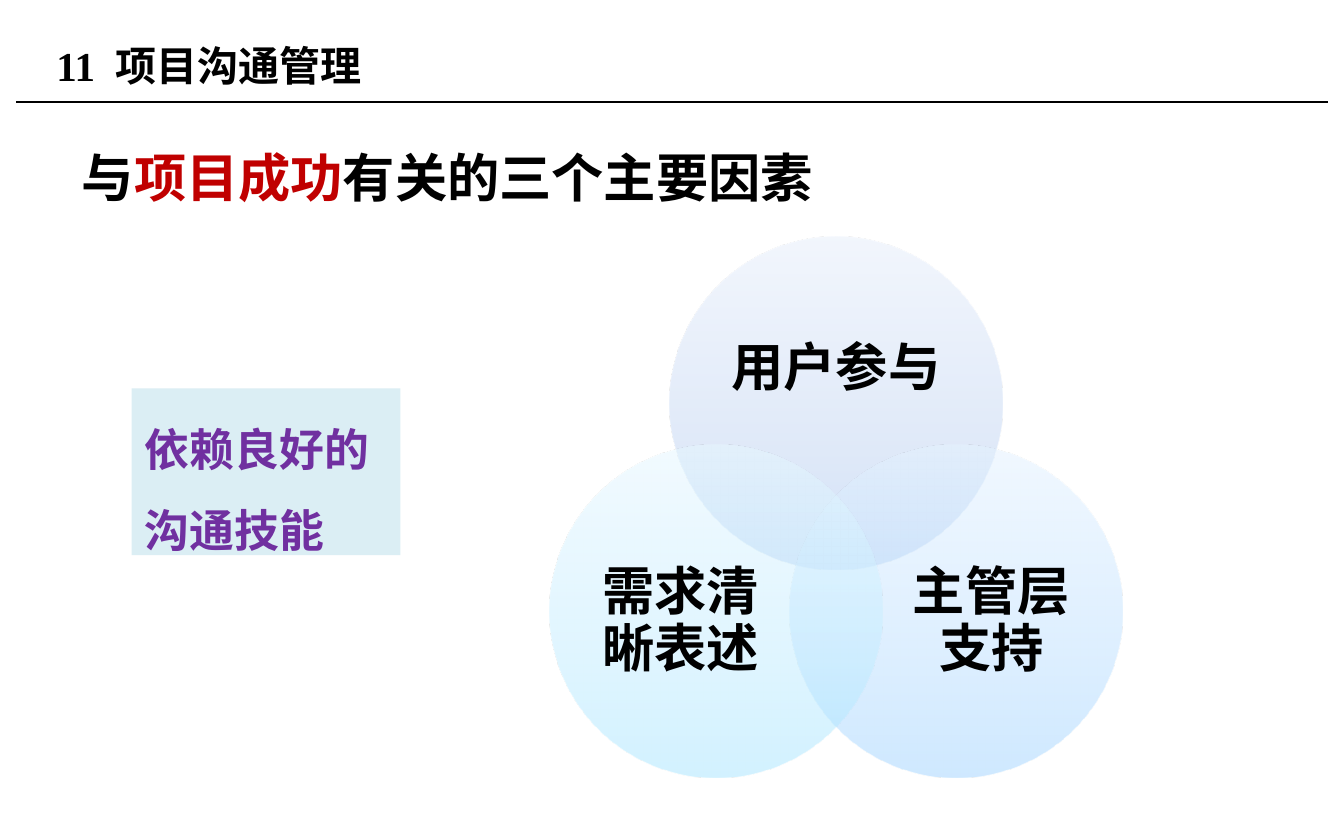
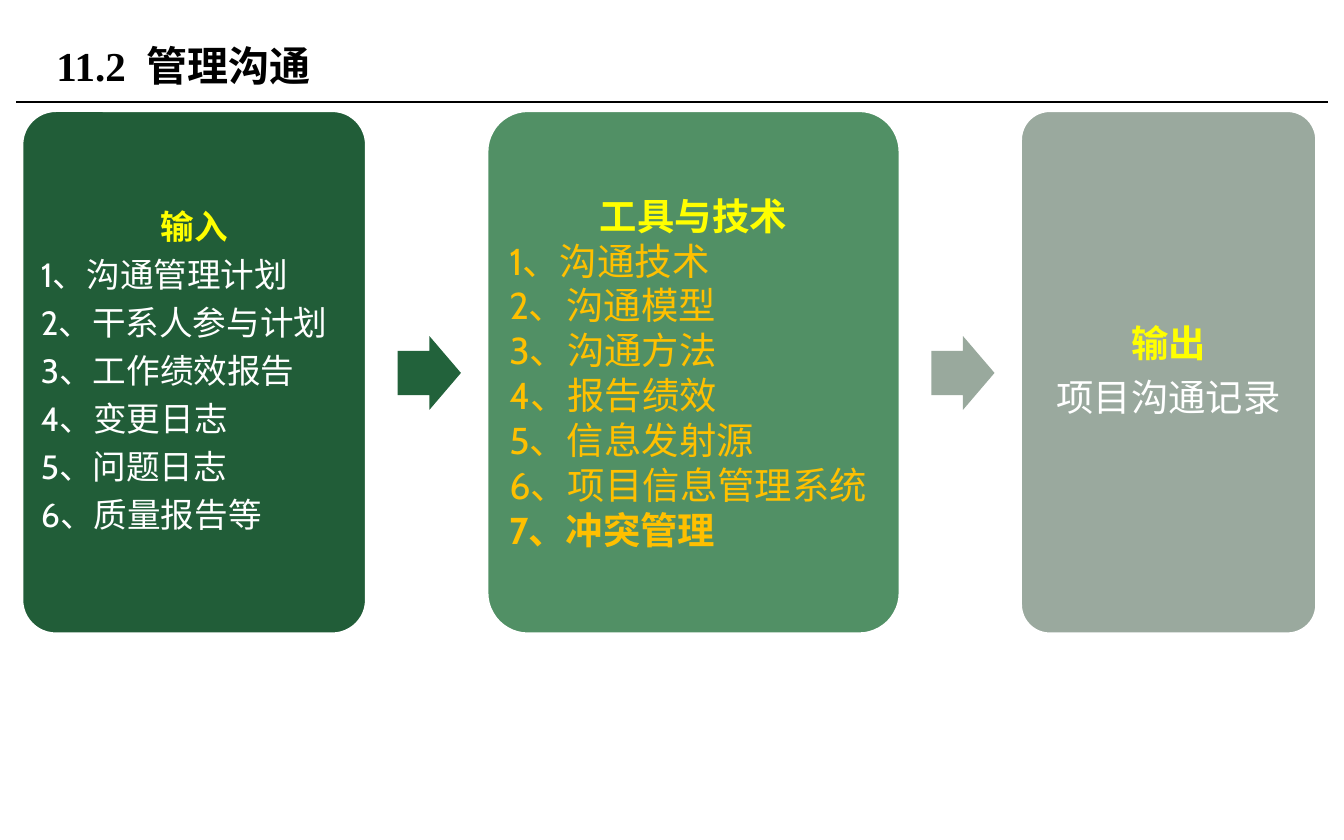
import math

import lxml.etree
import pptx
import pptx.dml.color
import pptx.enum.shapes
import pptx.enum.text
import pptx.oxml.ns
import pptx.util

RGB = pptx.dml.color.RGBColor
SHAPE = pptx.enum.shapes.MSO_SHAPE
ALIGN = pptx.enum.text.PP_ALIGN
ANCHOR = pptx.enum.text.MSO_ANCHOR
Inches = pptx.util.Inches
Pt = pptx.util.Pt
qn = pptx.oxml.ns.qn

# Colours
BLACK = RGB(0x00, 0x00, 0x00)
WHITE = RGB(0xFF, 0xFF, 0xFF)
RED = RGB(0xC0, 0x00, 0x00)
PURPLE = RGB(0x70, 0x30, 0xA0)
PALE = RGB(0xDB, 0xEE, 0xF4)
YELLOW = RGB(0xFF, 0xFF, 0x00)
AMBER = RGB(0xFF, 0xC0, 0x00)
DARK = RGB(0x21, 0x5D, 0x38)
DARK_TIP = RGB(0x22, 0x62, 0x3B)
GREEN = RGB(0x51, 0x90, 0x65)
GREY = RGB(0x9A, 0xA9, 0x9E)
GREY_TIP = RGB(0x99, 0xA9, 0x9D)
VIOLET = (RGB(0xA6, 0xC4, 0xF1), RGB(0xC1, 0xD5, 0xF4), RGB(0xE7, 0xEF, 0xFC))
BLUE = (RGB(0xA0, 0xD4, 0xFF), RGB(0xBC, 0xE0, 0xFF), RGB(0xE5, 0xF3, 0xFF))
CYAN = (RGB(0xA7, 0xE6, 0xFF), RGB(0xC1, 0xED, 0xFF), RGB(0xE7, 0xF8, 0xFF))

SERIF = "Times New Roman"
SANS = "Cabin"


def place(shape, box):
    shape.left, shape.top, shape.width, shape.height = map(Inches, box)


def style(para, size, face=SERIF, color=BLACK, bold=True, align=ALIGN.LEFT):
    font = para.font
    font.name, font.size, font.bold = face, Pt(size), bold
    if color is not None:
        font.color.rgb = color
    para.alignment = align


def tight(para, size):
    """Close line spacing with a gap of 35% of the text size."""
    para.line_spacing = 0.9
    para.space_after = Pt(size * 0.35)


def add_text(slide, box, inset=0.0):
    """Middle-anchored, wrapping text box; gives its frame."""
    frame = slide.shapes.add_textbox(*map(Inches, box)).text_frame
    frame.word_wrap = True
    frame.vertical_anchor = ANCHOR.MIDDLE
    frame.margin_left = frame.margin_right = Inches(inset)
    frame.margin_top = frame.margin_bottom = Inches(inset)
    return frame


def add_form(slide, kind, box, fill=None, line=None):
    shape = slide.shapes.add_shape(kind, *map(Inches, box))
    shape.shadow.inherit = False
    if fill is not None:
        shape.fill.solid()
        shape.fill.fore_color.rgb = fill
    if line is None:
        shape.line.fill.background()
    else:
        shape.line.color.rgb = line
        shape.line.width = Pt(2)
    return shape


def add_page(deck, layout, title):
    """New slide with the shared rule and title."""
    slide = deck.slides.add_slide(deck.slide_layouts[layout])
    y = Inches(0.76)
    rule = slide.shapes.add_connector(
        pptx.enum.shapes.MSO_CONNECTOR.STRAIGHT, Inches(0.12), y, Inches(9.88), y)
    rule.line.color.rgb = BLACK
    rule.line.width = Pt(0.75)
    lxml.etree.SubElement(rule.element.spPr, qn("a:effectLst"))

    head = slide.shapes.title
    place(head, (0.32, 0.13, 6.38, 0.71))
    head.text_frame.text = title
    head.text_frame.vertical_anchor = ANCHOR.MIDDLE
    style(head.text_frame.paragraphs[0], 22)
    return slide


def add_lead(slide, parts):
    """Headline in the body placeholder, without a bullet."""
    body = slide.placeholders[1]
    place(body, (0.51, 0.8, 8.98, 3.9))
    para = body.text_frame.paragraphs[0]
    style(para, 28, color=None)
    para.line_spacing = 1.5
    para.space_before = Pt(0)
    props = para._p.get_or_add_pPr()
    props.set("marL", "0")
    props.set("indent", "0")
    props.insert_element_before(
        lxml.etree.Element(qn("a:buNone")), "a:tabLst", "a:defRPr", "a:extLst")
    for text, color in parts:
        run = para.add_run()
        run.text = text
        run.font.color.rgb = color


def add_note(slide, box, text):
    frame = add_form(slide, SHAPE.RECTANGLE, box, PALE).text_frame
    frame.word_wrap = True
    frame.vertical_anchor = ANCHOR.TOP
    frame.text = text
    para = frame.paragraphs[0]
    style(para, 24, color=PURPLE)
    para.line_spacing = 1.5


def fade(shape, tones):
    """Half-clear gradient that runs from the bottom to the top."""
    shape.fill.background()
    grad = lxml.etree.Element(qn("a:gradFill"), rotWithShape="1")
    stops = lxml.etree.SubElement(grad, qn("a:gsLst"))
    for spot, tone in zip((0, 35, 100), tones):
        stop = lxml.etree.SubElement(stops, qn("a:gs"), pos=str(spot * 1000))
        color = lxml.etree.SubElement(stop, qn("a:srgbClr"), val=str(tone))
        lxml.etree.SubElement(color, qn("a:alpha"), val="50000")
    lxml.etree.SubElement(grad, qn("a:lin"), ang=str(270 * 60000), scaled="0")
    props = shape.element.spPr
    props.replace(props.find(qn("a:noFill")), grad)


def add_venn(slide, mid, reach, size, rings):
    """Circles evenly turned around a middle point, first one on top."""
    for i, (text, tones, box) in enumerate(rings):
        turn = math.radians(360 / len(rings) * i - 90)
        x = mid[0] + reach * math.cos(turn) - size / 2
        y = mid[1] + reach * math.sin(turn) - size / 2
        fade(add_form(slide, SHAPE.OVAL, (x, y, size, size)), tones)
        frame = add_text(slide, box)
        frame.text = text
        para = frame.paragraphs[0]
        style(para, 28, align=ALIGN.CENTER)
        tight(para, 28)


def add_card(slide, x, wide, fill, size, inset, lines, close=True):
    """Rounded card; lines hold text, colour, bold and alignment."""
    top, high, bend = 0.82, 3.9, 0.1
    card = add_form(slide, SHAPE.ROUNDED_RECTANGLE, (x, top, wide, high), fill, WHITE)
    card.adjustments[0] = bend
    pad = bend * wide * 0.29
    frame = add_text(
        slide, (x + pad, top + pad, wide - 2 * pad, high - 2 * pad), inset)
    frame.text = "\n".join(line[0] for line in lines)
    for para, (_, color, bold, align) in zip(frame.paragraphs, lines):
        style(para, size, SANS, color, bold, align)
        if close:
            tight(para, size)


def add_arrow(slide, x, fill):
    arrow = add_form(slide, SHAPE.RIGHT_ARROW, (x, 2.5, 0.47, 0.55), fill)
    arrow.adjustments[0] = 0.6
    arrow.adjustments[1] = 0.5


def head(text):
    return text, YELLOW, True, ALIGN.CENTER


def items(texts, color, first=1):
    return [(f"{n}、{text}", color, False, ALIGN.LEFT)
            for n, text in enumerate(texts, first)]


def main():
    deck = pptx.Presentation()
    deck.slide_width, deck.slide_height = Inches(10), Inches(6.25)

    # Success factors
    slide = add_page(deck, 1, "11  项目沟通管理")
    add_lead(slide, [("与", BLACK), ("项目成功", RED),
                     ("有关的三个主要因素", BLACK)])
    add_note(slide, (0.98, 2.89, 2, 1.24), "依赖良好的沟通技能")
    add_venn(slide, (6.22, 4.03), 1.03, 2.48, [
        ("用户参与", VIOLET, (5.31, 2.19, 1.82, 1.12)),
        ("主管层支持", BLUE, (6.63, 3.95, 1.49, 1.36)),
        ("需求清晰表述", CYAN, (4.32, 3.95, 1.49, 1.36)),
    ])

    # Inputs, tools and outputs
    slide = add_page(deck, 5, "11.2  管理沟通")
    inputs = [head("输入")] + items(
        ["沟通管理计划", "干系人参与计划", "工作绩效报告", "变更日志",
         "问题日志", "质量报告等"], WHITE)
    tools = [head("工具与技术")] + items(
        ["沟通技术", "沟通模型", "沟通方法", "报告绩效", "信息发射源",
         "项目信息管理系统"], AMBER)
    tools.append(("7、冲突管理", AMBER, True, ALIGN.LEFT))
    results = [head("输出"), ("项目沟通记录", WHITE, False, ALIGN.CENTER)]

    x, gap = 0.16, 0.89
    for wide, fill, size, inset, lines, close, tip in (
            (2.57, DARK, 18, 0.07, inputs, True, DARK_TIP),
            (3.08, GREEN, 20, 0.08, tools, False, GREY_TIP),
            (2.21, GREY, 20, 0.08, results, True, None)):
        add_card(slide, x, wide, fill, size, inset, lines, close)
        if tip is not None:
            add_arrow(slide, x + wide + 0.23, tip)
        x += wide + gap

    deck.save("out.pptx")


if __name__ == "__main__":
    main()
